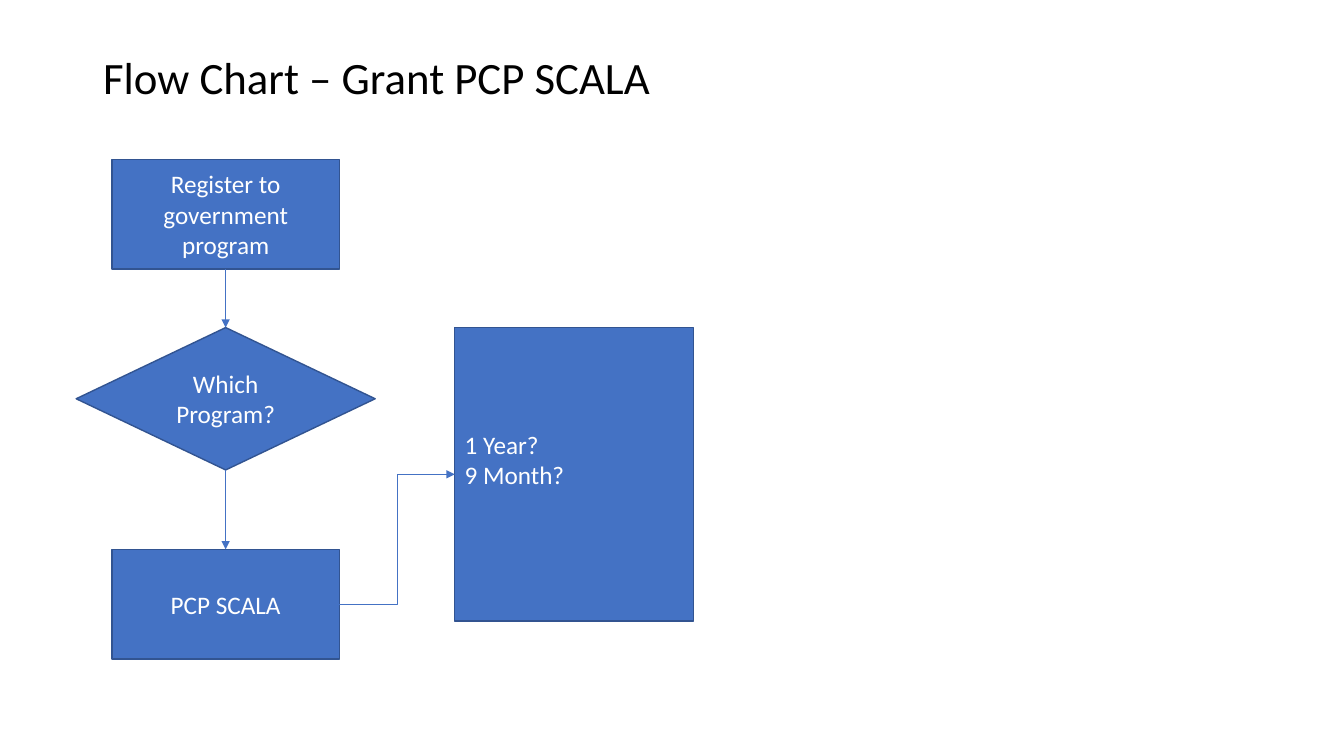
"""Build the grant flow chart slide on a grid of 12 columns and 12 rows."""
from lxml import etree
from pptx import Presentation, util as u
from pptx.dml.color import RGBColor
from pptx.enum import shapes, text
from pptx.oxml.ns import qn

BLUE, DARK_BLUE, WHITE, BLACK = "4472C4", "325491", "FFFFFF", "000000"
CENTER, LEFT = text.PP_ALIGN.CENTER, text.PP_ALIGN.LEFT
RECTANGLE, DIAMOND = shapes.MSO_SHAPE.RECTANGLE, shapes.MSO_SHAPE.DIAMOND
STRAIGHT, ELBOW = shapes.MSO_CONNECTOR.STRAIGHT, shapes.MSO_CONNECTOR.ELBOW
TOP, LEFT_SIDE, BOTTOM, RIGHT_SIDE = range(4)

presentation = Presentation()
presentation.slide_width = u.Inches(13.33)
presentation.slide_height = u.Inches(7.5)
column = presentation.slide_width / 12
row = presentation.slide_height / 12
slide = presentation.slides.add_slide(presentation.slide_layouts[5])


def color(hex_string):
    """Turn a hex string into a colour."""
    return RGBColor.from_string(hex_string)


def write(shape, words, size=18, fill=WHITE, align=CENTER, spacing=1.0, bottom=0.05):
    """Put formatted text into a shape, one paragraph per line of words."""
    frame = shape.text_frame
    frame.text = words
    frame.word_wrap = True
    frame.auto_size = text.MSO_AUTO_SIZE.NONE
    frame.vertical_anchor = text.MSO_ANCHOR.MIDDLE
    frame.margin_bottom = u.Inches(bottom)
    for paragraph in frame.paragraphs:
        paragraph.alignment = align
        paragraph.line_spacing = spacing
        paragraph.font.size = u.Pt(size)
        paragraph.font.name = "Calibri"
        paragraph.font.color.rgb = color(fill)


title = slide.shapes.title
title.left, title.top = int(0.83 * column), int(0.64 * row)
title.width, title.height = int(10.35 * column), int(1.26 * row)
write(title, "Flow Chart – Grant PCP SCALA", size=32, fill=BLACK, align=LEFT, spacing=0.9)

steps = [
    ("Register to government program", RECTANGLE, 1, 2.53, 2.03, 1.74, {}),
    ("Which Program?", DIAMOND, 0.68, 5.2, 2.67, 2.26, {}),
    ("PCP SCALA", RECTANGLE, 1, 8.72, 2.03, 1.74, {}),
    ("1 Year?\n9 Month?", RECTANGLE, 4.06, 5.2, 2.13, 4.66, {"align": LEFT, "bottom": 0.35}),
]
boxes = []
for words, kind, left, top, width, height, style in steps:
    box = slide.shapes.add_shape(
        kind, int(left * column), int(top * row), int(width * column), int(height * row))
    box.shadow.inherit = False
    box.fill.solid()
    box.fill.fore_color.rgb = color(BLUE)
    box.line.color.rgb = color(DARK_BLUE)
    box.line.width = u.Pt(1)
    write(box, words, **style)
    boxes.append(box)

register, which_program, grant, duration = boxes
arrows = [
    (STRAIGHT, register, BOTTOM, which_program, TOP),
    (STRAIGHT, which_program, BOTTOM, grant, TOP),
    (ELBOW, grant, RIGHT_SIDE, duration, LEFT_SIDE),
]
for kind, source, source_side, target, target_side in arrows:
    arrow = slide.shapes.add_connector(kind, 0, 0, 0, 0)
    arrow.begin_connect(source, source_side)
    arrow.end_connect(target, target_side)
    arrow.line.color.rgb = color(BLUE)
    arrow.line.width = u.Pt(0.5)
    properties = arrow.element.spPr
    etree.SubElement(properties.find(qn("a:ln")), qn("a:tailEnd"), type="triangle")
    etree.SubElement(properties, qn("a:effectLst"))

presentation.save("out.pptx")
